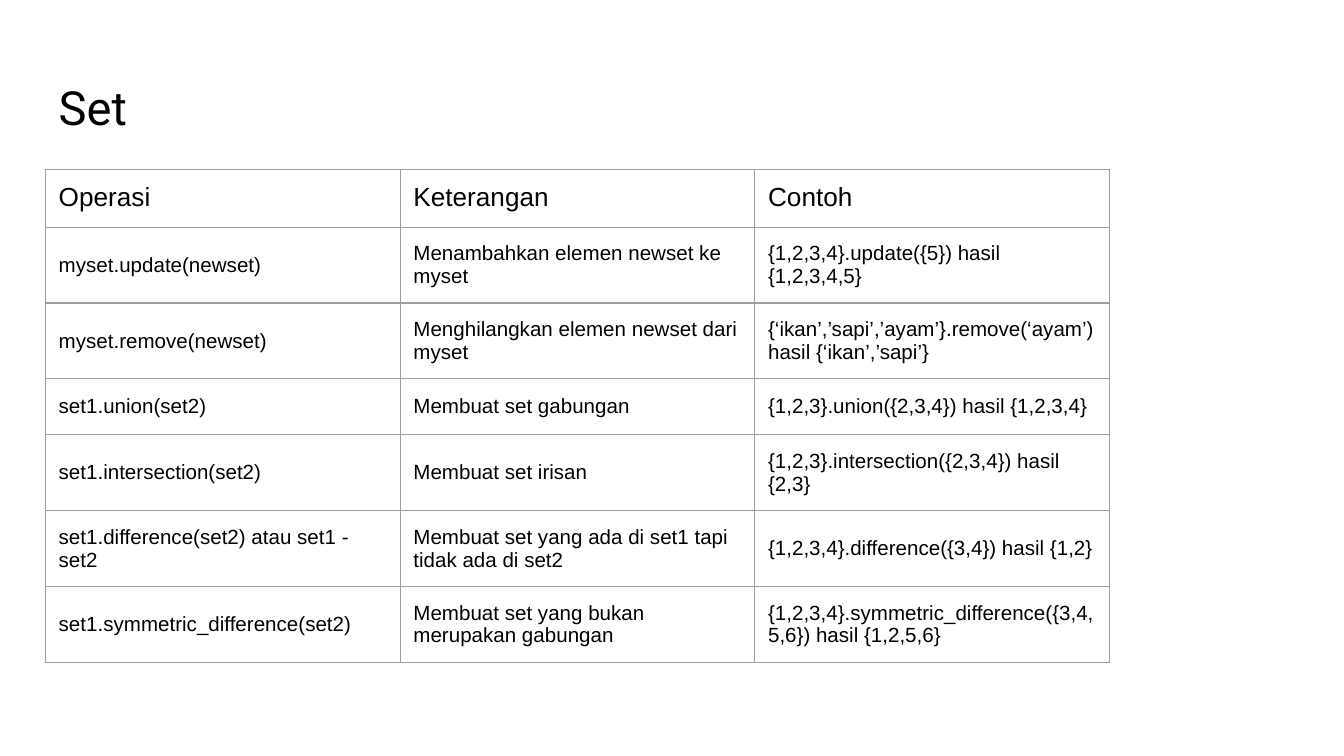
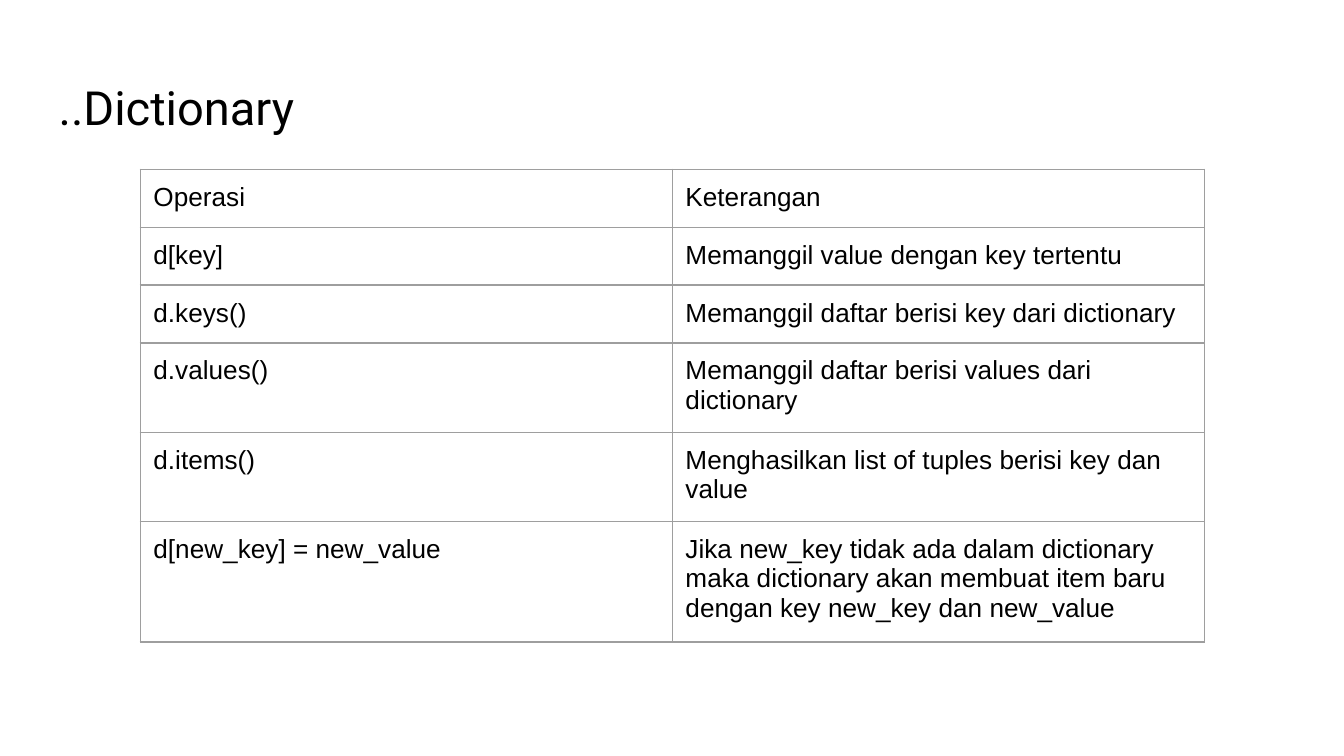
"""Build two slides that list the operations of Python sets and dictionaries."""
from dataclasses import dataclass

import lxml.etree
import pptx
import pptx.dml.color
import pptx.enum.text
import pptx.oxml.ns
import pptx.util
from pptx.util import Cm

COLOURS = {"background": "FFFFFF", "text": "000000", "border": "9E9E9E"}
TITLE_FONT, BODY_FONT = "Roboto", "Arial"
TITLE_SIZE, HEADER_SIZE = 25.2, 14
BORDER_WIDTH = pptx.util.Pt(0.75)
INSET = Cm(0.25)
LEFT_EDGE = Cm(0.86)
TABLE_TOP, TABLE_WIDTH, ROW_HEIGHT = Cm(3.2), Cm(20.11), Cm(1.06)


@dataclass(frozen=True)
class OperationsSlide:
    """A title and a table of operations."""

    title: str
    table_left: int
    body_size: float
    body_anchor: pptx.enum.text.MSO_ANCHOR
    rows: list[tuple[str, ...]]


SLIDES = [
    OperationsSlide("Set", LEFT_EDGE, 11, pptx.enum.text.MSO_ANCHOR.MIDDLE, [
        ("Operasi", "Keterangan", "Contoh"),
        ("myset.update(newset)", "Menambahkan elemen newset ke myset",
         "{1,2,3,4}.update({5}) hasil {1,2,3,4,5}"),
        ("myset.remove(newset)", "Menghilangkan elemen newset dari myset",
         "{‘ikan’,’sapi’,’ayam’}.remove(‘ayam’) hasil {‘ikan’,’sapi’}"),
        ("set1.union(set2)", "Membuat set gabungan",
         "{1,2,3}.union({2,3,4}) hasil {1,2,3,4}"),
        ("set1.intersection(set2)", "Membuat set irisan",
         "{1,2,3}.intersection({2,3,4}) hasil {2,3}"),
        ("set1.difference(set2) atau set1 - set2",
         "Membuat set yang ada di set1 tapi tidak ada di set2",
         "{1,2,3,4}.difference({3,4}) hasil {1,2}"),
        ("set1.symmetric_difference(set2)",
         "Membuat set yang bukan merupakan gabungan",
         "{1,2,3,4}.symmetric_difference({3,4,5,6}) hasil {1,2,5,6}"),
    ]),
    OperationsSlide("..Dictionary", Cm(2.65), 14, pptx.enum.text.MSO_ANCHOR.TOP, [
        ("Operasi", "Keterangan"),
        ("d[key]", "Memanggil value dengan key tertentu"),
        ("d.keys()", "Memanggil daftar berisi key dari dictionary"),
        ("d.values()", "Memanggil daftar berisi values dari dictionary"),
        ("d.items()", "Menghasilkan list of tuples berisi key dan value"),
        ("d[new_key] = new_value",
         "Jika new_key tidak ada dalam dictionary maka dictionary akan membuat "
         "item baru dengan key new_key dan new_value"),
    ]),
]


def colour(name: str) -> pptx.dml.color.RGBColor:
    """Return a named colour."""
    return pptx.dml.color.RGBColor.from_string(COLOURS[name])


def write(frame, text: str, font_name: str, size: float) -> None:
    """Put one styled paragraph in a text frame."""
    frame.word_wrap = True
    paragraph = frame.paragraphs[0]
    paragraph.text = text
    paragraph.font.name = font_name
    paragraph.font.size = pptx.util.Pt(size)
    paragraph.font.color.rgb = colour("text")


def set_insets(box) -> None:
    """Give a cell or text frame equal insets."""
    box.margin_left = box.margin_right = INSET
    box.margin_top = box.margin_bottom = INSET


def add_borders(cell) -> None:
    """Draw a thin line on all four sides of a cell."""
    qn = pptx.oxml.ns.qn
    properties = cell._tc.get_or_add_tcPr()
    for side in ("a:lnL", "a:lnR", "a:lnT", "a:lnB"):
        line = lxml.etree.SubElement(properties, qn(side), w=str(int(BORDER_WIDTH)))
        fill = lxml.etree.SubElement(line, qn("a:solidFill"))
        lxml.etree.SubElement(fill, qn("a:srgbClr"), val=COLOURS["border"])


def add_title(slide, title: str) -> None:
    """Add the slide title."""
    heading = slide.shapes.add_textbox(LEFT_EDGE, Cm(1.24), Cm(23.67), Cm(1.6)).text_frame
    set_insets(heading)
    write(heading, title, TITLE_FONT, TITLE_SIZE)


def add_operations(slide, content: OperationsSlide) -> None:
    """Add the table of operations with equal columns."""
    row_count, column_count = len(content.rows), len(content.rows[0])
    operations = slide.shapes.add_table(
        row_count, column_count, content.table_left, TABLE_TOP,
        TABLE_WIDTH, ROW_HEIGHT * row_count).table
    operations.first_row = operations.horz_banding = False
    for row_index, row in enumerate(content.rows):
        is_header = row_index == 0
        for column_index, text in enumerate(row):
            cell = operations.cell(row_index, column_index)
            set_insets(cell)
            cell.vertical_anchor = (
                pptx.enum.text.MSO_ANCHOR.TOP if is_header else content.body_anchor)
            add_borders(cell)
            cell.fill.background()
            write(cell.text_frame, text, BODY_FONT,
                  HEADER_SIZE if is_header else content.body_size)


def main() -> None:
    """Build and save the presentation."""
    presentation = pptx.Presentation()
    presentation.slide_width, presentation.slide_height = Cm(25.4), Cm(14.29)
    for content in SLIDES:
        slide = presentation.slides.add_slide(presentation.slide_layouts[6])
        slide.background.fill.solid()
        slide.background.fill.fore_color.rgb = colour("background")
        add_title(slide, content.title)
        add_operations(slide, content)
    presentation.save("out.pptx")


if __name__ == "__main__":
    main()
